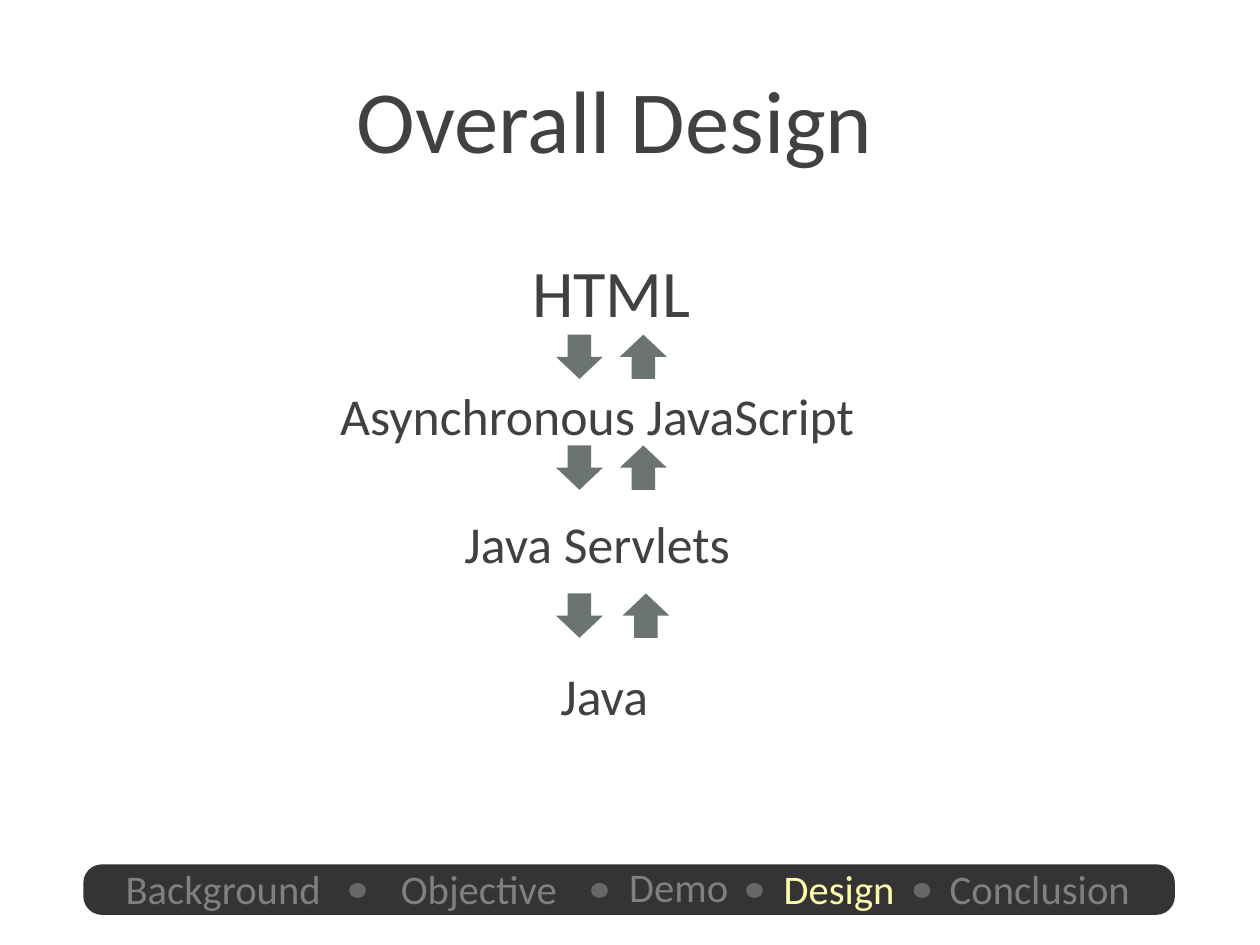
from pptx import Presentation
from pptx.dml.color import RGBColor
from pptx.enum.shapes import MSO_SHAPE as Shape
from pptx.enum.text import MSO_ANCHOR as Anchor, MSO_AUTO_SIZE as AutoSize, PP_ALIGN as Align
from pptx.util import Inches, Pt

presentation = Presentation()
presentation.slide_width = Inches(14.22)
presentation.slide_height = Inches(10.66)
column = presentation.slide_width / 100
row = presentation.slide_height / 100
slide = presentation.slides.add_slide(presentation.slide_layouts[5])
hex_color = RGBColor.from_string


def write(box, text, size, color="414141", anchor=Anchor.TOP, wrap=True, margins=(0.1, 0.05, 0.1, 0.05)):
    frame = box.text_frame
    frame.auto_size = AutoSize.NONE
    frame.word_wrap = wrap
    frame.vertical_anchor = anchor
    frame.margin_left, frame.margin_top, frame.margin_right, frame.margin_bottom = map(Inches, margins)
    paragraph = frame.paragraphs[0]
    paragraph.alignment = Align.CENTER
    run = paragraph.add_run()
    run.text = text
    run.font.name = "Calibri"
    run.font.size = Pt(size)
    run.font.color.rgb = hex_color(color)


def add_filled(kind, left, top, width, height, color):
    shape = slide.shapes.add_shape(
        kind, int(left * column), int(top * row), int(width * column), int(height * row))
    shape.shadow.inherit = False
    shape.fill.solid()
    shape.fill.fore_color.rgb = hex_color(color)
    shape.line.fill.background()
    return shape


title = slide.shapes.title
title.left, title.top = int(0.77 * column), 0
title.width, title.height = int(94.51 * column), int(25.05 * row)
write(title, "Overall Design", 72, anchor=Anchor.MIDDLE, margins=(0.28, 0.06, 0.06, 0.06))

layers = [
    ("HTML", 54, 36.5, 26.08, 24.05, 9.38),
    ("Asynchronous JavaScript", 42, 23.07, 40.15, 48.66, 14.07),
    ("Java Servlets", 42, 23.07, 53.66, 48.66, 7.5),
    ("Java", 42, 23.63, 69.79, 48.66, 7.5),
]
for name, size, left, top, width, height in layers:
    layer = slide.shapes.add_textbox(
        int(left * column), int(top * row), int(width * column), int(height * row))
    write(layer, name, size)

for top, up_left in [(35.27, 49.3), (47, 49.3), (62.66, 49.51)]:
    for left, rotation in [(44.23, 90), (up_left, 270)]:
        arrow = add_filled(Shape.RIGHT_ARROW, left, top, 3.52, 4.97, "6C7472")
        arrow.rotation = rotation

bar = add_filled(Shape.ROUNDED_RECTANGLE, 6.61, 91.46, 86.64, 5.35, "343434")
bar.adjustments[0] = 0.37

sections = [
    ("Background", 8.51, 91.46, 18.42),
    ("Objective", 30.94, 91.46, 14.14),
    ("Demo", 49.3, 91.18, 9.14),
    ("Design", 61.32, 91.46, 10.55),
    ("Conclusion", 74.19, 91.37, 16.67),
]
current_section = "Design"
for name, left, top, width in sections:
    label = slide.shapes.add_textbox(
        int(left * column), int(top * row), int(width * column), int(5.16 * row))
    color = "FFFCAB" if name == current_section else "808080"
    write(label, name, 33, color=color, anchor=Anchor.MIDDLE, wrap=False, margins=(0, 0, 0, 0))

for left in (27.71, 46.91, 59.21, 72.5):
    add_filled(Shape.OVAL, left, 93.43, 1.34, 1.59, "676767")

presentation.save("out.pptx")
